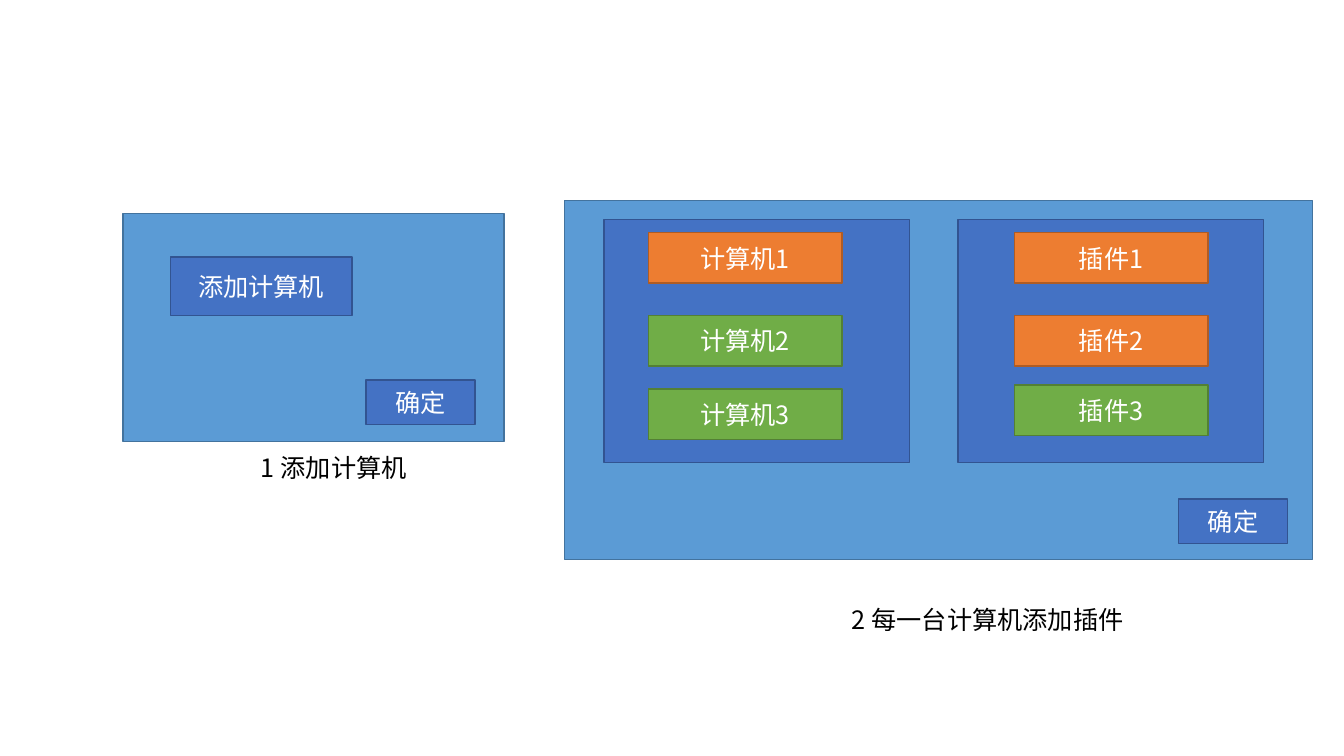
from collections import namedtuple

from lxml.etree import SubElement
from pptx import Presentation
from pptx.dml.color import RGBColor
from pptx.enum.shapes import MSO_SHAPE
from pptx.enum.text import MSO_ANCHOR, PP_ALIGN
from pptx.oxml.ns import qn
from pptx.util import Inches, Pt

FONT = "Noto Sans CJK SC"
Box = namedtuple("Box", "left top width height")

# Fill and line colour of each kind of rectangle
WINDOW = ("5B9BD5", "43739E")
BLUE = ("4472C4", "325491")
ORANGE = ("ED7D31", "AF5C24")
GREEN = ("70AD47", "538035")

BUTTON_SIZE = (1.08, 0.44)
ITEM_SIZE = (1.92, 0.5)


def color(value):
    return RGBColor.from_string(value)


def inside(box, left, top, width, height):
    """Return a box placed relative to the corner of another box."""
    return Box(box.left + left, box.top + top, width, height)


def write(frame, text, ink="000000", size=18, align=PP_ALIGN.LEFT,
          anchor=MSO_ANCHOR.TOP):
    frame.word_wrap = True
    frame.vertical_anchor = anchor
    para = frame.paragraphs[0]
    para.alignment = align
    span = para.add_run()
    span.text = text
    span.font.name = FONT
    span.font.size = Pt(size)
    span.font.color.rgb = color(ink)
    # East Asian characters take their own typeface entry
    SubElement(span.font._element, qn("a:ea"), typeface=FONT)


def add_box(page, box, colors, text=None):
    fill, line = colors
    shape = page.shapes.add_shape(MSO_SHAPE.RECTANGLE, *map(Inches, box))
    shape.shadow.inherit = False
    shape.fill.solid()
    shape.fill.fore_color.rgb = color(fill)
    shape.line.color.rgb = color(line)
    shape.line.width = Pt(1)
    if text:
        write(shape.text_frame, text, ink="FFFFFF", align=PP_ALIGN.CENTER,
              anchor=MSO_ANCHOR.MIDDLE)


def add_caption(page, box, text):
    caption = page.shapes.add_textbox(*map(Inches, box))
    write(caption.text_frame, text)


def add_window(page, box, button_gap):
    """Draw a window with its OK button in the lower right corner."""
    add_box(page, box, WINDOW)
    width, height = BUTTON_SIZE
    right, bottom = button_gap
    add_box(page, inside(box, box.width - right - width,
                         box.height - bottom - height, width, height),
            BLUE, "确定")


def add_list(page, box, indent, items):
    """Draw a panel of items, each given as label, top and colours."""
    add_box(page, box, BLUE)
    for label, top, colors in items:
        add_box(page, inside(box, indent, top, *ITEM_SIZE), colors, label)


def add_computer_step(page, box):
    add_window(page, box, button_gap=(0.29, 0.17))
    add_box(page, inside(box, 0.47, 0.43, 1.8, 0.58), BLUE, "添加计算机")
    add_caption(page, inside(box, 1.27, box.height + 0.06, 1.67, 0.4),
                "1 添加计算机")


def add_plugin_step(page, box):
    add_window(page, box, button_gap=(0.25, 0.16))
    # Computers on the left, plug-ins on the right
    add_list(page, inside(box, 0.39, 0.19, 3.03, 2.41), 0.44, [
        ("计算机1", 0.13, ORANGE),
        ("计算机2", 0.95, GREEN),
        ("计算机3", 1.68, GREEN),
    ])
    add_list(page, inside(box, 3.9, 0.19, 3.03, 2.41), 0.56, [
        ("插件1", 0.13, ORANGE),
        ("插件2", 0.95, ORANGE),
        ("插件3", 1.64, GREEN),
    ])
    add_caption(page, inside(box, 2.75, box.height + 0.4, 2.93, 0.4),
                "2 每一台计算机添加插件")


def main():
    deck = Presentation()
    deck.slide_width, deck.slide_height = Inches(13.33), Inches(7.5)
    blank_layout = deck.slide_layouts[6]
    page = deck.slides.add_slide(blank_layout)
    add_computer_step(page, Box(1.22, 2.12, 3.78, 2.26))
    add_plugin_step(page, Box(5.6, 1.99, 7.42, 3.56))
    deck.save("out.pptx")


if __name__ == "__main__":
    main()
